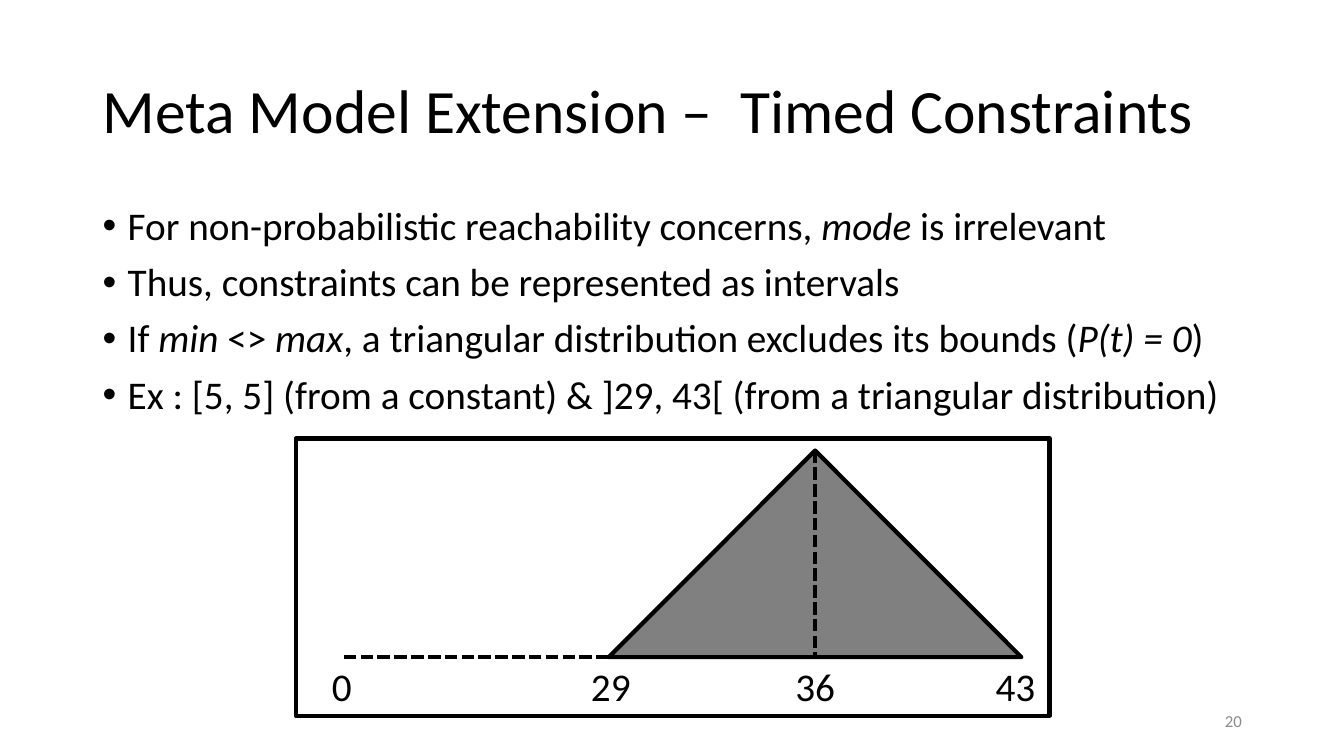
from dataclasses import dataclass

from lxml import etree
from pptx import Presentation
from pptx.dml.color import RGBColor
from pptx.enum.dml import MSO_LINE
from pptx.enum.shapes import MSO_CONNECTOR, MSO_SHAPE
from pptx.enum.text import MSO_ANCHOR, MSO_AUTO_SIZE, PP_ALIGN
from pptx.oxml.ns import qn
from pptx.util import Inches, Pt

BLACK = RGBColor(0x00, 0x00, 0x00)
GRAY = RGBColor(0x80, 0x80, 0x80)
PAGE_GRAY = RGBColor(0x8C, 0x8C, 0x8C)
FONT = "Calibri"
LEFT, CENTER, RIGHT = PP_ALIGN.LEFT, PP_ALIGN.CENTER, PP_ALIGN.RIGHT
TOP, MIDDLE = MSO_ANCHOR.TOP, MSO_ANCHOR.MIDDLE
NO_AUTOFIT = MSO_AUTO_SIZE.NONE
RECTANGLE, TRIANGLE = MSO_SHAPE.RECTANGLE, MSO_SHAPE.ISOSCELES_TRIANGLE
STRAIGHT = MSO_CONNECTOR.STRAIGHT
SHORT_DASH = MSO_LINE.SQUARE_DOT

WIDTH, HEIGHT = Inches(13.33), Inches(7.5)
LINE_WIDTH = Pt(3)


def across(percent):
    return round(WIDTH * percent / 100)


def down(percent):
    return round(HEIGHT * percent / 100)


@dataclass(frozen=True)
class Box:
    """An area in percent of the slide's width and height."""
    left: float
    top: float
    width: float
    height: float

    @property
    def center(self) -> float:
        return self.left + self.width / 2

    @property
    def bottom(self) -> float:
        return self.top + self.height

    def lengths(self) -> tuple:
        return across(self.left), down(self.top), across(self.width), down(self.height)


@dataclass(frozen=True)
class AxisLabel:
    text: str
    center: float


TITLE_BOX = Box(6.88, 5.33, 86.25, 19.33)
BODY_BOX = Box(6.88, 26.63, 86.25, 63.45)
FRAME_BOX = Box(22, 58, 56.1, 36.67)
DISTRIBUTION_BOX = Box(45.3, 59.6, 30.7, 27.33)
PAGE_BOX = Box(70.65, 92.67, 22.5, 5.33)
AXIS_START = 25.43
LABEL_WIDTH, LABEL_HEIGHT = 4.5, 7.6

AXIS_LABELS = [
    AxisLabel("0", AXIS_START),
    AxisLabel("29", 45.45),
    AxisLabel("36", DISTRIBUTION_BOX.center),
    AxisLabel("43", 75.55),
]

# Every second run of a bullet is italic.
BULLETS = [
    ["For non-probabilistic reachability concerns, ", "mode", " is irrelevant"],
    ["Thus, constraints can be represented as intervals"],
    ["If ", "min", " <> ", "max", ", a triangular distribution excludes its bounds (",
     "P(t) = 0", ")"],
    ["Ex : [5, 5] (from a constant) & ]29, 43[ (from a triangular distribution)"],
]


def place(shape, box: Box) -> None:
    shape.left, shape.top, shape.width, shape.height = box.lengths()


def format_paragraph(paragraph, size: float, color: RGBColor, alignment) -> None:
    paragraph.alignment = alignment
    paragraph.font.name = FONT
    paragraph.font.size = Pt(size)
    paragraph.font.color.rgb = color


def fill_title(title) -> None:
    place(title, TITLE_BOX)
    title.text = "Meta Model Extension –  Timed Constraints"
    title.text_frame.auto_size = NO_AUTOFIT
    title.text_frame.vertical_anchor = MIDDLE
    paragraph = title.text_frame.paragraphs[0]
    paragraph.line_spacing = 0.9
    format_paragraph(paragraph, 44, BLACK, LEFT)


def set_bullet(paragraph) -> None:
    properties = paragraph._p.get_or_add_pPr()
    properties.set("marL", str(Inches(0.25)))
    properties.set("indent", str(-Inches(0.25)))
    etree.SubElement(properties, qn("a:buFont")).set("typeface", "Arial")
    etree.SubElement(properties, qn("a:buChar")).set("char", "•")


def fill_body(body) -> None:
    place(body, BODY_BOX)
    frame = body.text_frame
    frame.auto_size = NO_AUTOFIT
    for index, runs in enumerate(BULLETS):
        paragraph = frame.add_paragraph() if index else frame.paragraphs[0]
        paragraph.line_spacing = 0.9
        paragraph.space_before = Pt(10)
        set_bullet(paragraph)
        format_paragraph(paragraph, 28, BLACK, LEFT)
        for position, text in enumerate(runs):
            run = paragraph.add_run()
            run.text = text
            run.font.italic = position % 2 == 1


def add_outlined_shape(shapes, kind, box: Box, fill: RGBColor | None = None) -> None:
    shape = shapes.add_shape(kind, *box.lengths())
    shape.shadow.inherit = False
    shape.line.color.rgb = BLACK
    shape.line.width = LINE_WIDTH
    if fill is None:
        shape.fill.background()
    else:
        shape.fill.solid()
        shape.fill.fore_color.rgb = fill


def add_dashed_line(shapes, start: tuple, end: tuple) -> None:
    line = shapes.add_connector(STRAIGHT, across(start[0]), down(start[1]),
                                across(end[0]), down(end[1]))
    line.line.color.rgb = BLACK
    line.line.width = LINE_WIDTH
    line.line.dash_style = SHORT_DASH
    etree.SubElement(line._element.spPr, qn("a:effectLst"))


def add_text(shapes, text: str, box: Box, size: float, color: RGBColor,
             alignment, anchor=TOP, wrap: bool = False) -> None:
    frame = shapes.add_textbox(*box.lengths()).text_frame
    frame.word_wrap = wrap
    frame.vertical_anchor = anchor
    frame.text = text
    format_paragraph(frame.paragraphs[0], size, color, alignment)


def add_distribution(shapes) -> None:
    """Draw the framed triangular distribution with its time axis."""
    triangle = DISTRIBUTION_BOX
    add_outlined_shape(shapes, RECTANGLE, FRAME_BOX)
    add_outlined_shape(shapes, TRIANGLE, triangle, GRAY)
    add_dashed_line(shapes, (triangle.left, triangle.bottom), (AXIS_START, triangle.bottom))
    add_dashed_line(shapes, (triangle.center, triangle.top), (triangle.center, triangle.bottom))
    for label in AXIS_LABELS:
        box = Box(label.center - LABEL_WIDTH / 2, triangle.bottom, LABEL_WIDTH, LABEL_HEIGHT)
        add_text(shapes, label.text, box, 28, BLACK, CENTER)


def main() -> None:
    presentation = Presentation()
    presentation.slide_width, presentation.slide_height = WIDTH, HEIGHT
    slide = presentation.slides.add_slide(presentation.slide_layouts[1])
    fill_title(slide.shapes.title)
    fill_body(slide.placeholders[1])
    add_distribution(slide.shapes)
    add_text(slide.shapes, "20", PAGE_BOX, 12, PAGE_GRAY, RIGHT, MIDDLE, True)
    presentation.save("out.pptx")


if __name__ == "__main__":
    main()
